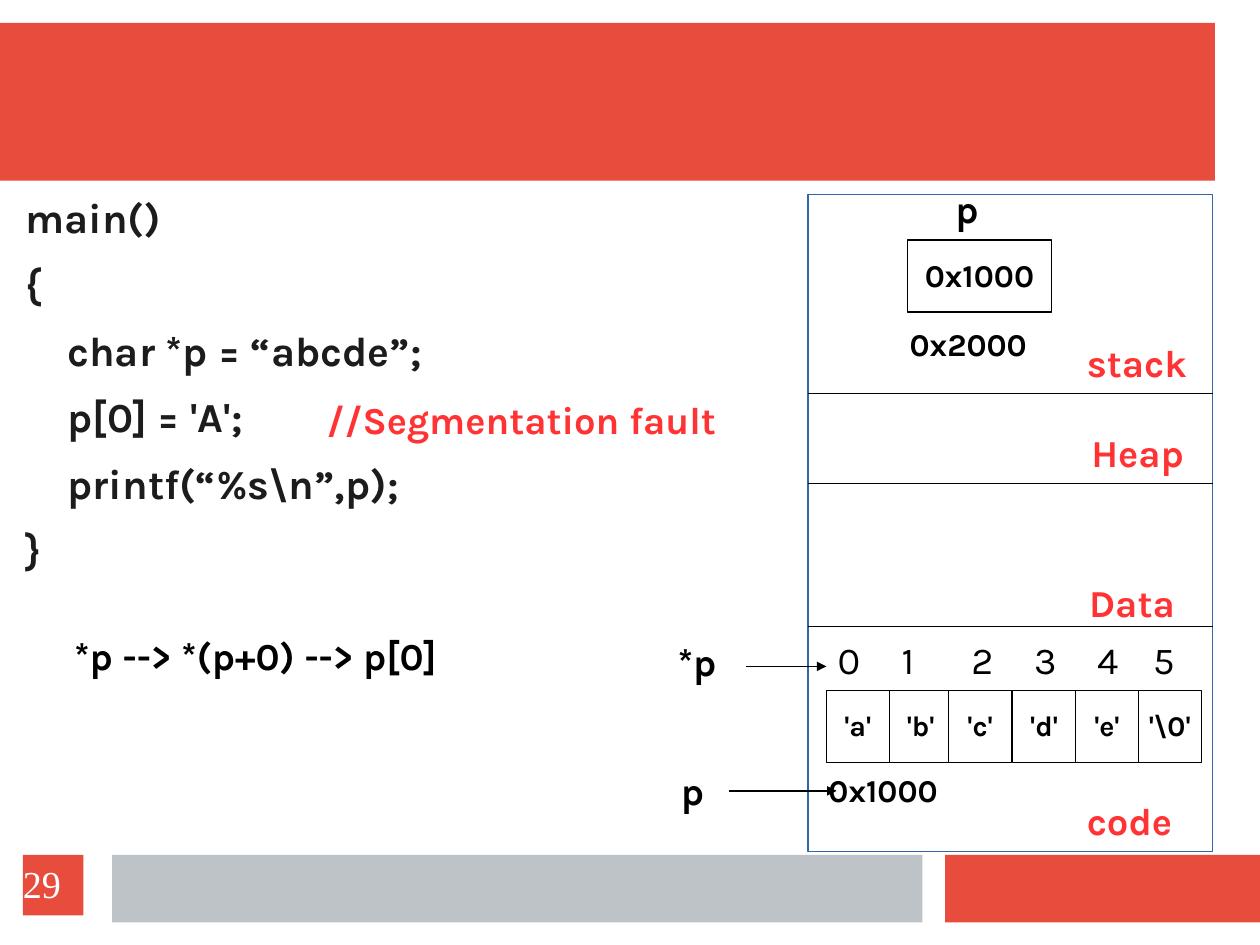
import pptx
import pptx.dml.color
import pptx.enum.shapes
import pptx.enum.text
import pptx.oxml.ns
import pptx.util
from lxml import etree

Inches, Pt = pptx.util.Inches, pptx.util.Pt
ALIGN = pptx.enum.text.PP_ALIGN
ANCHOR = pptx.enum.text.MSO_ANCHOR
RED, GREY, BLUE = "E74C3C", "BDC3C7", "3465A4"
BLACK, WHITE, CODE, NOTE = "000000", "FFFFFF", "1C1C1C", "FF3333"

# Content: code lines with their indent in inches
CODE_LINES = [
    ("main()", 0.1),
    ("{", 0.1),
    ("char *p = “abcde”;", 0.47),
    ("p[0] = 'A';", 0.47),
    ("printf(“%s\\n”,p);", 0.47),
    ("}", 0.1),
]
# Frame bars: left, top, width, height, fill
BARS = [
    (0, 0.2, 10.63, 1.38, RED),
    (8.27, 7.48, 2.76, 0.59, RED),
    (0.98, 7.48, 7.09, 0.59, GREY),
]
# Memory map: outer box, section borders, string cells, index positions
MEMORY = (7.07, 1.7, 3.54, 5.75)
BORDERS = [3.44, 4.23, 5.48]
CELLS = [("'a'", 7.23), ("'b'", 7.78), ("'c'", 8.3),
         ("'d'", 8.86), ("'e'", 9.41), ("'\\0'", 9.96)]
INDEX_LEFTS = [7.23, 7.79, 8.4, 8.95, 9.5, 9.99]
# Labels: text, left, top, width, size, colour
LABELS = [
    ("//Segmentation fault", 2.76, 3.44, 4.08, 24, NOTE),
    ("stack", 9.41, 2.94, 1.2, 24, NOTE),
    ("Heap", 9.45, 3.73, 1.17, 24, NOTE),
    ("Data", 9.43, 5.04, 1.09, 24, NOTE),
    ("code", 9.41, 6.95, 1.09, 24, NOTE),
    ("0x1000", 7.15, 6.71, 1.34, 20, BLACK),
    ("0x2000", 7.86, 2.81, 1.34, 20, BLACK),
    ("p", 8.26, 1.6, 0.44, 24, BLACK),
    ("p", 5.86, 6.69, 0.44, 24, BLACK),
    ("*p", 5.83, 5.56, 0.61, 24, BLACK),
    ("*p --> *(p+0) --> p[0]", 0.55, 5.51, 4.19, 24, BLACK),
]
# Pointer arrows: start, end, height on the page
ARROWS = [(6.38, 7.32, 6.92), (6.53, 7.23, 5.83)]


def colour(value):
    return pptx.dml.color.RGBColor.from_string(value)


def style(para, size, value, bold=True, name="Karla"):
    para.line_spacing = 0.97
    para.font.size = Pt(size)
    para.font.name = name
    para.font.bold = bold
    para.font.color.rgb = colour(value)


def add_box(page, left, top, width, height, fill, line=None):
    box = page.shapes.add_shape(
        pptx.enum.shapes.MSO_SHAPE.RECTANGLE,
        Inches(left), Inches(top), Inches(width), Inches(height))
    box.shadow.inherit = False
    box.fill.solid()
    box.fill.fore_color.rgb = colour(fill)
    if line:
        box.line.color.rgb = colour(line)
        box.line.width = Pt(0.75)
    else:
        box.line.fill.background()
    return box


def add_value(page, text, left, top, width, size):
    box = add_box(page, left, top, width, 0.63, WHITE, BLACK)
    frame = box.text_frame
    frame.word_wrap = False
    frame.vertical_anchor = ANCHOR.MIDDLE
    para = frame.paragraphs[0]
    para.text = text
    para.alignment = ALIGN.CENTER
    style(para, size, BLACK)


def add_label(page, text, left, top, width, size, value, bold=True):
    box = page.shapes.add_textbox(
        Inches(left), Inches(top), Inches(width), Inches(0.5))
    box.text_frame.word_wrap = True
    para = box.text_frame.paragraphs[0]
    para.text = text
    style(para, size, value, bold)


def add_line(page, start, end, top, arrow=False):
    line = page.shapes.add_connector(
        pptx.enum.shapes.MSO_CONNECTOR.STRAIGHT,
        Inches(start), Inches(top), Inches(end), Inches(top))
    line.line.color.rgb = colour(BLACK)
    line.line.width = Pt(0.75)
    if arrow:
        etree.SubElement(line.line._get_or_add_ln(),
                         pptx.oxml.ns.qn("a:tailEnd"), type="triangle")
    etree.SubElement(line._element.spPr, pptx.oxml.ns.qn("a:effectLst"))


def fill_code(body):
    body.left, body.top = Inches(0.12), Inches(1.7)
    body.width, body.height = Inches(4.88), Inches(5.67)
    frame = body.text_frame
    frame.margin_left = frame.margin_right = frame.margin_bottom = 0
    frame.margin_top = Inches(0.01)
    frame.vertical_anchor = ANCHOR.TOP
    frame.auto_size = pptx.enum.text.MSO_AUTO_SIZE.NONE
    for number, (text, indent) in enumerate(CODE_LINES):
        para = frame.add_paragraph() if number else frame.paragraphs[0]
        para.text = text
        style(para, 26, CODE)
        para.space_before, para.space_after = Pt(0), Pt(11.5)
        settings = para._p.get_or_add_pPr()
        settings.set("marL", str(Inches(indent)))
        settings.set("indent", "0")
        # The bullet setting goes after spacing and before the font
        settings.find(pptx.oxml.ns.qn("a:spcAft")).addnext(
            etree.Element(pptx.oxml.ns.qn("a:buNone")))


def main():
    deck = pptx.Presentation()
    # A 4:3 page of 28 by 21 centimetres
    deck.slide_width = Inches(28 / 2.54)
    deck.slide_height = Inches(21 / 2.54)
    page = deck.slides.add_slide(deck.slide_layouts[1])
    title = page.shapes.title
    title._element.getparent().remove(title._element)

    # Frame and code
    for bar in BARS:
        add_box(page, *bar)
    body = page.placeholders[1]
    fill_code(body)

    # Memory map
    add_box(page, *MEMORY, WHITE, BLUE)
    for top in BORDERS:
        add_line(page, MEMORY[0], MEMORY[0] + MEMORY[2], top)
    add_value(page, "0x1000", 7.94, 2.1, 1.26, 20)
    for text, left in CELLS:
        add_value(page, text, left, 6.04, 0.55, 18)
    for number, left in enumerate(INDEX_LEFTS):
        add_label(page, str(number), left, 5.54, 0.41, 24, BLACK, bold=False)

    # Labels and pointers
    for label in LABELS:
        add_label(page, *label)
    for arrow in ARROWS:
        add_line(page, *arrow, arrow=True)

    # Page number
    frame = add_box(page, 0.2, 7.48, 0.53, 0.53, RED).text_frame
    frame.margin_left = frame.margin_right = 0
    frame.margin_top = frame.margin_bottom = 0
    frame.vertical_anchor = ANCHOR.MIDDLE
    para = frame.paragraphs[0]
    para.text = "29"
    para.alignment = ALIGN.LEFT
    style(para, 24, WHITE, bold=False, name="Times New Roman")

    deck.save("out.pptx")


if __name__ == "__main__":
    main()
